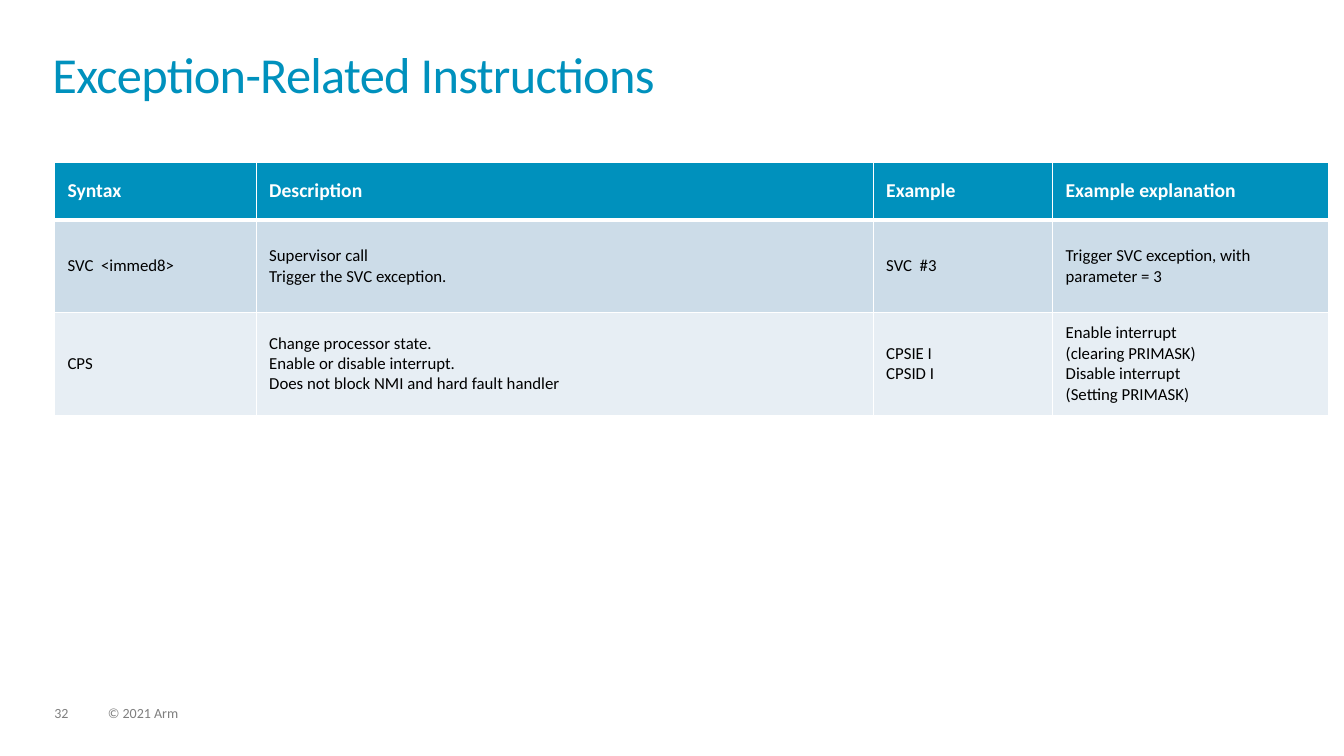
from lxml.etree import SubElement
from pptx import Presentation
from pptx.dml.color import RGBColor
from pptx.enum.text import MSO_ANCHOR
from pptx.oxml.ns import qn
from pptx.util import Inches, Pt

FONT = "Calibri"
BLUE, GREY, WHITE, BLACK = "0091BD", "7F7F7F", "FFFFFF", "000000"
BANDS = ["CCDCE8", "E7EEF4"]

TITLE = "Exception-Related Instructions"
FOOTER = [  # text, left, width
    ("32", 0.54, 0.34),
    ("© 2021 Arm", 1.07, 5.07),
]
INSTRUCTIONS = [
    ["Syntax", "Description", "Example", "Example explanation"],
    ["SVC  <immed8>",
     "Supervisor call\nTrigger the SVC exception.",
     "SVC  #3",
     "Trigger SVC exception, with parameter = 3"],
    ["CPS",
     "Change processor state.\nEnable or disable interrupt.\n"
     "Does not block NMI and hard fault handler",
     "CPSIE I\nCPSID I",
     "Enable interrupt\n(clearing PRIMASK)\nDisable interrupt\n(Setting PRIMASK)"],
]
TABLE_LEFT, TABLE_TOP = 0.54, 1.61
COLUMN_WIDTHS = [2, 6.12, 1.78, 2.74]
ROW_HEIGHTS = [0.57, 0.92, 1.02]
CELL_FORMAT = {
    "vertical_anchor": MSO_ANCHOR.MIDDLE,
    "margin_left": Inches(0.13), "margin_right": Inches(0.13),
    "margin_top": Inches(0.05), "margin_bottom": Inches(0.05),
}
BOX_FORMAT = {
    "word_wrap": True, "vertical_anchor": MSO_ANCHOR.TOP,
    "margin_left": 0, "margin_right": 0, "margin_top": 0, "margin_bottom": 0,
}


def apply(target, values):
    for name, value in values.items():
        setattr(target, name, value)


def rgb(color):
    return RGBColor.from_string(color)


def style_font(font, size, color, bold=False):
    apply(font, {"name": FONT, "size": Pt(size), "bold": bold})
    font.color.rgb = rgb(color)


def add_text(slide, text, bounds, size, color, line_spacing):
    box = slide.shapes.add_textbox(*map(Inches, bounds))
    apply(box.text_frame, BOX_FORMAT)
    paragraph = box.text_frame.paragraphs[0]
    run = paragraph.add_run()
    run.text = text
    paragraph.line_spacing = line_spacing
    style_font(run.font, size, color)
    return run


def add_borders(cell, widths):
    """Draw white cell borders; widths maps a side letter to points."""
    properties = cell._tc.get_or_add_tcPr()
    for side, width in widths.items():
        line = SubElement(properties, qn(f"a:ln{side}"), w=str(Pt(width)))
        fill = SubElement(line, qn("a:solidFill"))
        SubElement(fill, qn("a:srgbClr"), val=WHITE)


def add_instruction_table(slide):
    table = slide.shapes.add_table(
        len(ROW_HEIGHTS), len(COLUMN_WIDTHS),
        Inches(TABLE_LEFT), Inches(TABLE_TOP),
        Inches(sum(COLUMN_WIDTHS)), Inches(sum(ROW_HEIGHTS))).table
    for column, width in zip(table.columns, COLUMN_WIDTHS):
        column.width = Inches(width)
    for row, height in zip(table.rows, ROW_HEIGHTS):
        row.height = Inches(height)

    for r, entries in enumerate(INSTRUCTIONS):
        header = r == 0
        for c, entry in enumerate(entries):
            cell = table.cell(r, c)
            cell.text = entry
            apply(cell, CELL_FORMAT)
            add_borders(cell, {"L": 1, "R": 1, "T": 3 if r == 1 else 1,
                               "B": 3 if header else 1})
            cell.fill.solid()
            cell.fill.fore_color.rgb = rgb(BLUE if header else BANDS[r - 1])
            for paragraph in cell.text_frame.paragraphs:
                for run in paragraph.runs:
                    style_font(run.font, 14 if header else 12,
                               WHITE if header else BLACK, header)


def main():
    deck = Presentation()
    apply(deck, {"slide_width": Inches(13.33), "slide_height": Inches(7.5)})
    slide = deck.slides.add_slide(deck.slide_layouts[6])
    for text, left, width in FOOTER:
        add_text(slide, text, (left, 7.01, width, 0.15), 10, GREY, 0.9)
    title = add_text(slide, TITLE, (0.52, 0.52, 12.28, 0.72), 36, BLUE, 0.85)
    title.font._element.set("spc", "-50")
    add_instruction_table(slide)
    deck.save("out.pptx")


if __name__ == "__main__":
    main()
